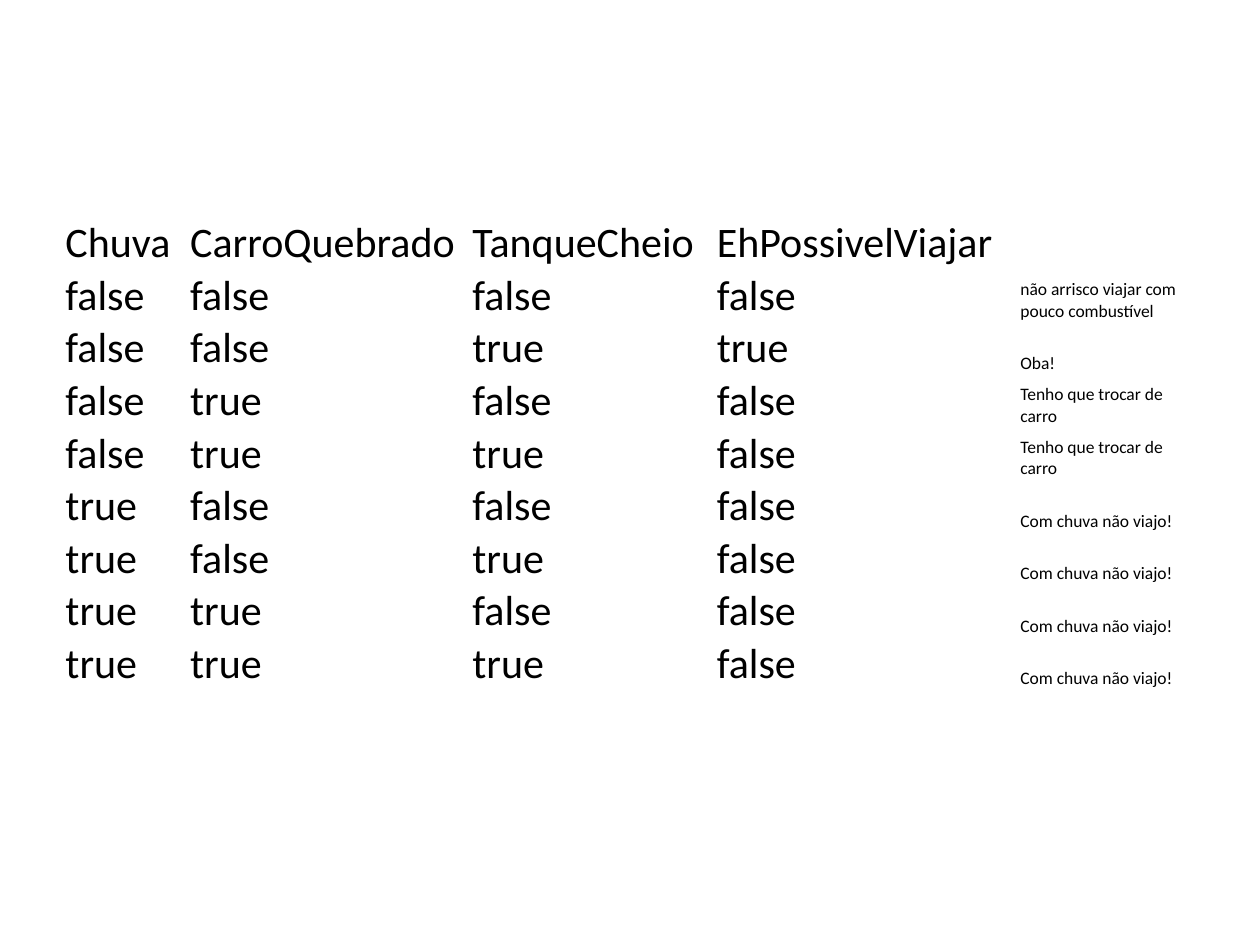
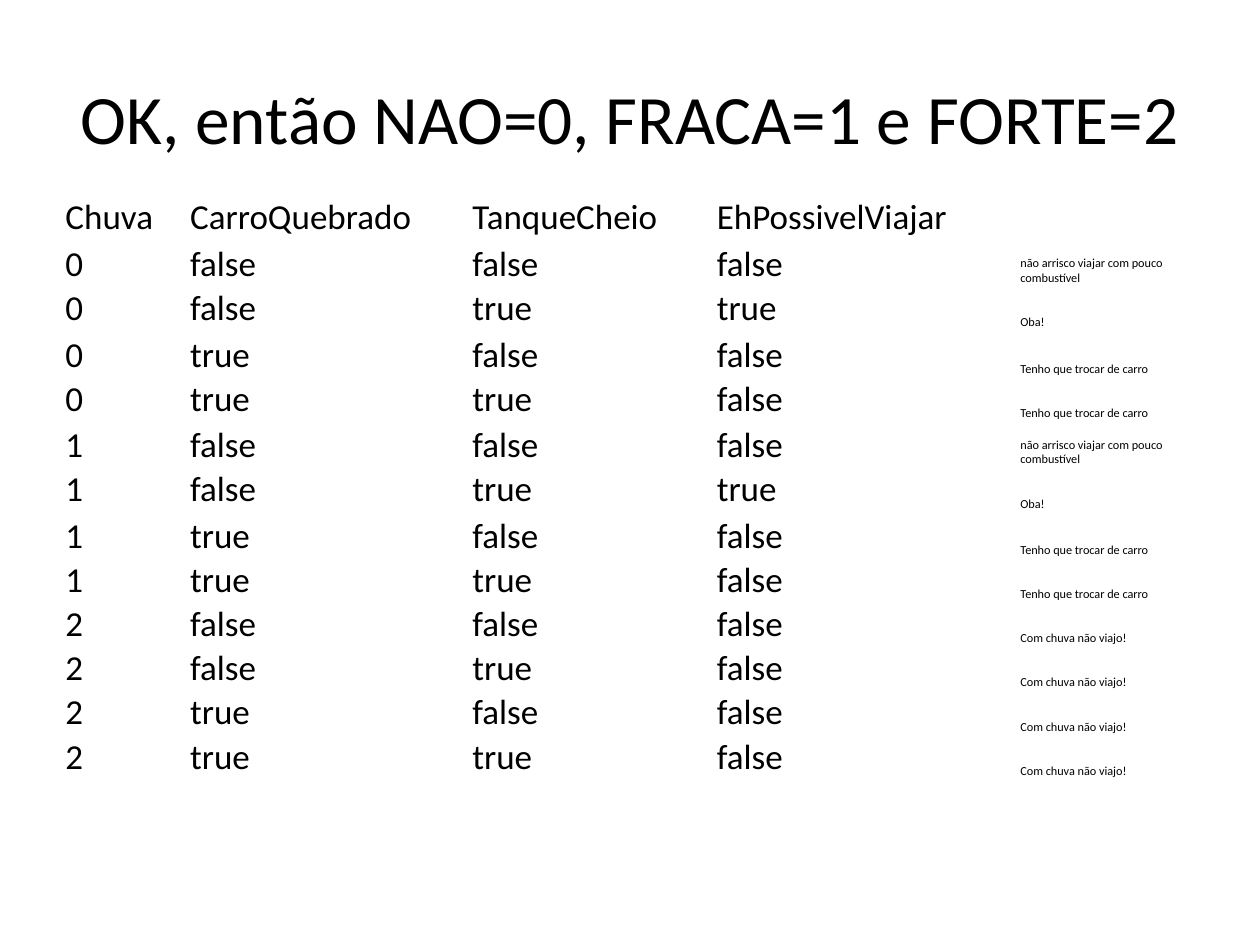
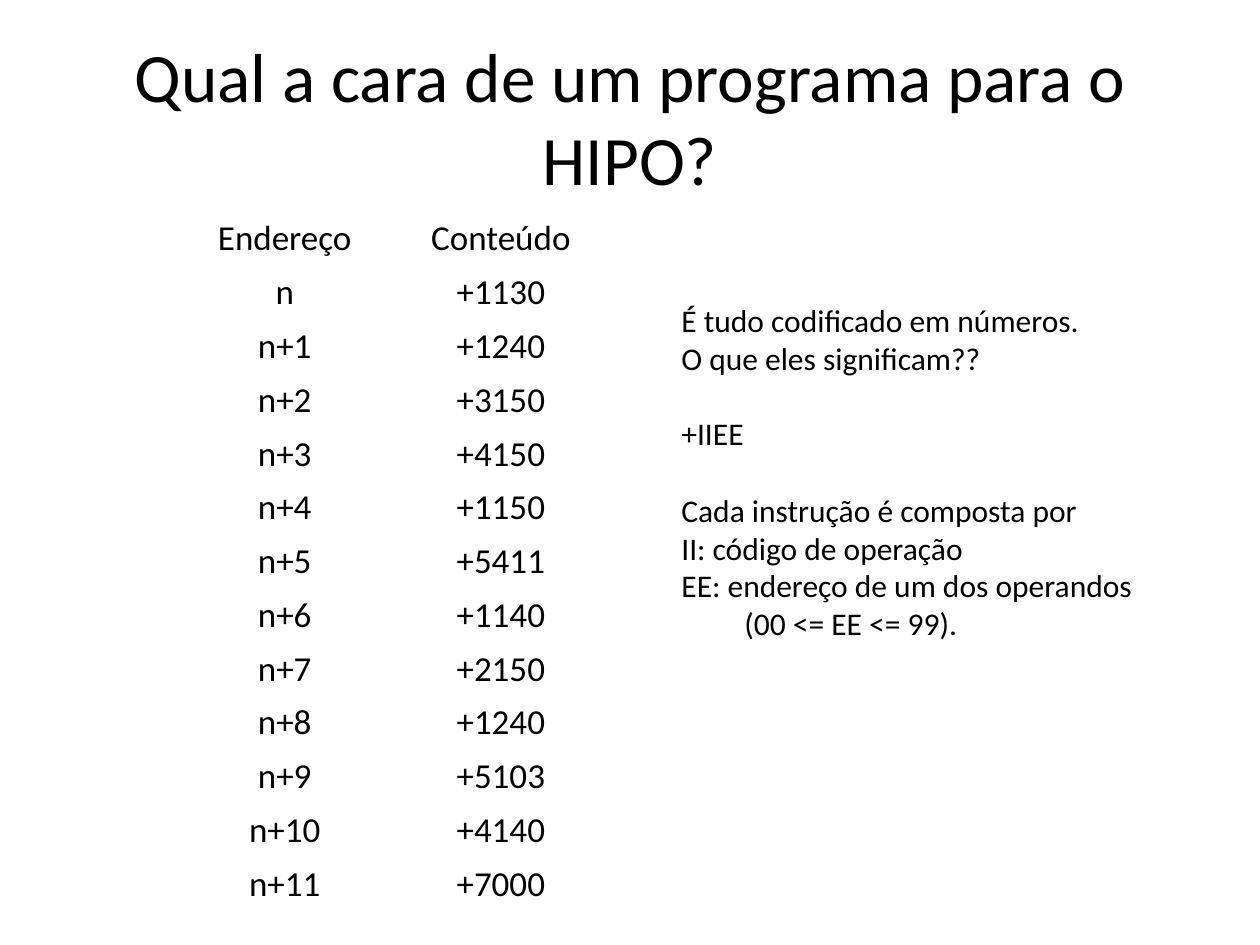
from itertools import product

from pptx import Presentation
from pptx.dml.color import RGBColor
from pptx.enum.text import MSO_ANCHOR, MSO_AUTO_SIZE, PP_ALIGN
from pptx.util import Inches, Pt

FONT = "Calibri"
INK = "000000"
PAPER = "FFFFFF"
TITLE_SIZE = 39.6
BODY_SIZE = 18
LINE_GAP = 22

TRUTH_HEADER = ["Chuva", "CarroQuebrado", "TanqueCheio", "EhPossivelViajar", ""]
TRUTH_WIDTHS = [0.99, 2.24, 1.94, 2.41, 1.39]
NOTE_COLUMN = 4
PROGRAM = ["+1130", "+1240", "+3150", "+4150", "+1150", "+5411",
           "+1140", "+2150", "+1240", "+5103", "+4140", "+7000"]


def color(hex_text):
    return RGBColor.from_string(hex_text)


def add_page(deck):
    page = deck.slides.add_slide(deck.slide_layouts[6])
    page.background.fill.solid()
    page.background.fill.fore_color.rgb = color(PAPER)
    return page


def style_para(para, size, align=PP_ALIGN.LEFT):
    para.alignment = align
    para.font.size = Pt(size)
    for span in para.runs:
        span.font.name = FONT
        span.font.size = Pt(size)
        span.font.color.rgb = color(INK)


def add_title(page, text):
    box = page.shapes.add_textbox(Inches(0.5), Inches(0.3), Inches(9), Inches(1.25))
    frame = box.text_frame
    frame.word_wrap = True
    frame.vertical_anchor = MSO_ANCHOR.MIDDLE
    frame.text = text
    style_para(frame.paragraphs[0], TITLE_SIZE, PP_ALIGN.CENTER)


def add_lines(page, top, width, height, lines):
    box = page.shapes.add_textbox(Inches(5.31), Inches(top), Inches(width), Inches(height))
    frame = box.text_frame
    frame.word_wrap = False
    frame.auto_size = MSO_AUTO_SIZE.SHAPE_TO_FIT_TEXT
    frame.text = "\n".join(lines)
    for para in frame.paragraphs:
        style_para(para, BODY_SIZE)
    return frame


def fill_cell(cell, text, size, align):
    cell.fill.background()
    cell.vertical_anchor = MSO_ANCHOR.BOTTOM
    cell.margin_left = cell.margin_right = cell.margin_top = Inches(0.01)
    cell.margin_bottom = 0
    cell.text = text
    style_para(cell.text_frame.paragraphs[0], size, align)


def add_grid(page, left, top, widths, heights, rows, sizes, align=PP_ALIGN.LEFT):
    table = page.shapes.add_table(
        len(rows), len(widths), Inches(left), Inches(top),
        Inches(sum(widths)), Inches(sum(heights))).table
    table.first_row = False
    table.horz_banding = False
    for column, width in zip(table.columns, widths):
        column.width = Inches(width)
    for line, height in zip(table.rows, heights):
        line.height = Inches(height)
    for row_index, row in enumerate(rows):
        for column_index, text in enumerate(row):
            fill_cell(table.cell(row_index, column_index), text, sizes[column_index], align)


def travel_note(rain, broken, full_tank, heavy_rain):
    if rain == heavy_rain:
        return "Com chuva não viajo!"
    if broken == "true":
        return "Tenho que trocar de carro"
    return "Oba!" if full_tank == "true" else "não arrisco viajar com pouco combustível"


def truth_rows(rain_levels):
    rows = [TRUTH_HEADER]
    for rain, broken, full_tank in product(rain_levels, ["false", "true"], ["false", "true"]):
        note = travel_note(rain, broken, full_tank, rain_levels[-1])
        can_travel = "true" if note == "Oba!" else "false"
        rows.append([rain, broken, full_tank, can_travel, note])
    return rows


def add_truth_table(page, top, rain_levels, heights, size, note_size):
    sizes = [size] * NOTE_COLUMN + [note_size]
    add_grid(page, 0.51, top, TRUTH_WIDTHS, heights, truth_rows(rain_levels), sizes)


def build_boolean_page(deck):
    page = add_page(deck)
    add_truth_table(page, 1.72, ["false", "true"], [0.41] * 9, 24, 10)


def build_rain_level_page(deck):
    page = add_page(deck)
    add_title(page, "OK, então NAO=0, FRACA=1 e FORTE=2")
    heights = [0.35] + [0.37, 0.35] * 4 + [0.35] * 4
    add_truth_table(page, 1.55, ["0", "1", "2"], heights, 20, 7)


def build_program_page(deck):
    page = add_page(deck)
    add_title(page, "Qual a cara de um programa para o HIPO?")
    rows = [["Endereço", "Conteúdo"]]
    for offset, content in enumerate(PROGRAM):
        rows.append([f"n+{offset}" if offset else "n", content])
    heights = [5.55 / len(rows)] * len(rows)
    add_grid(page, 1.56, 1.64, [1.4, 2.03], heights, rows, [20, 20], PP_ALIGN.CENTER)
    add_lines(page, 2.34, 3.4, 0.71,
              ["É tudo codificado em números.", "O que eles significam??"])
    format_lines = add_lines(page, 3.24, 3.83, 2.22, [
        "+IIEE",
        "Cada instrução é composta por",
        "II: código de operação",
        "EE: endereço de um dos operandos",
        "\t(00 <= EE <= 99).",
    ])
    format_lines.paragraphs[0].space_after = Pt(LINE_GAP)


def main():
    deck = Presentation()
    deck.slide_width = Inches(10)
    deck.slide_height = Inches(7.5)
    build_boolean_page(deck)
    build_rain_level_page(deck)
    build_program_page(deck)
    deck.save("out.pptx")


if __name__ == "__main__":
    main()
